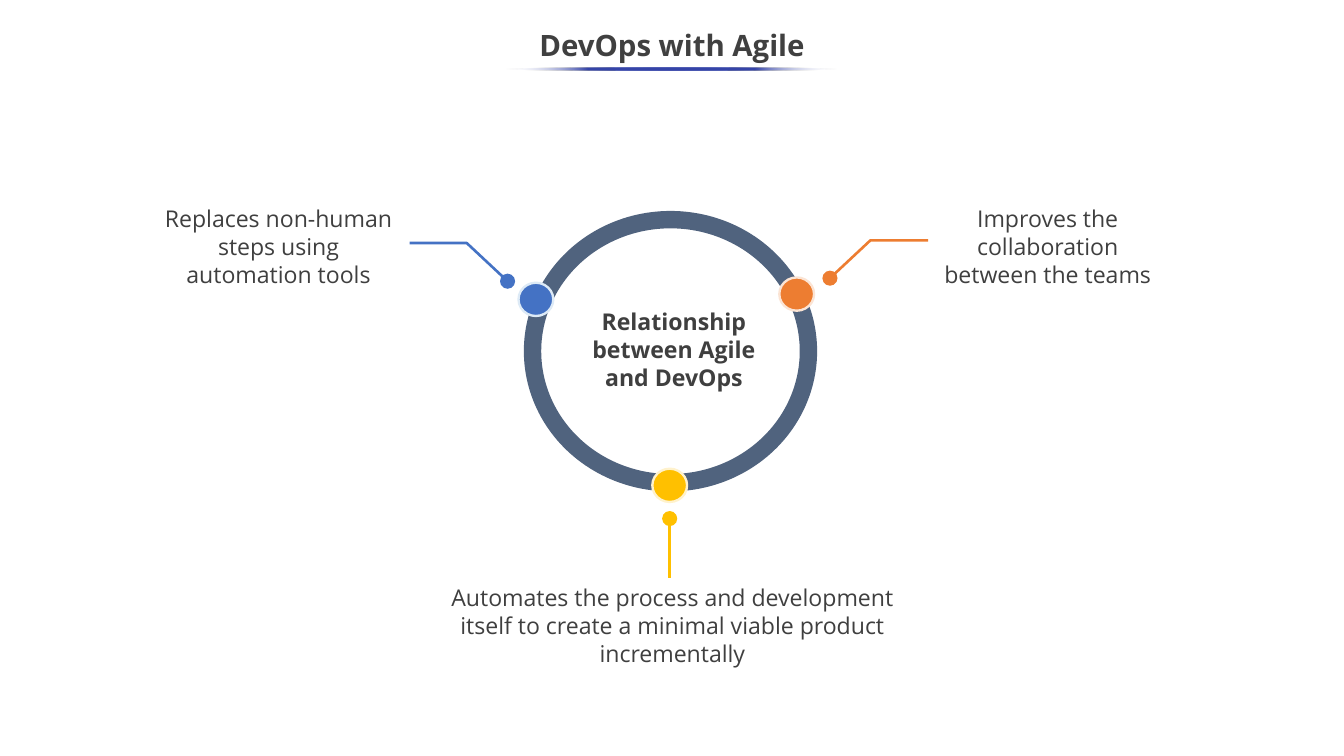
from lxml.etree import SubElement
from pptx import Presentation
from pptx.dml.color import RGBColor
from pptx.enum.shapes import MSO_SHAPE
from pptx.enum.text import MSO_ANCHOR, PP_ALIGN
from pptx.oxml.ns import qn
from pptx.util import Inches, Pt

CELL = 0.1  # inches per grid column and row
COLS, ROWS = 177.8, 100


def rgb(color):
    return RGBColor.from_string(color)


def grid(*cells):
    return [Inches(n * CELL) for n in cells]


class Diagram:
    font = "Open Sans"
    text_color = "3F3F3F"
    leader_width = 2.5
    pin_size = (4.6, 4.4)
    dot_size = (2, 2)

    def __init__(self, slide):
        self.slide = slide

    def text(self, box, words, size=22, bold=False, color=None,
             anchor=MSO_ANCHOR.TOP, spacing=1.0):
        tf = self.slide.shapes.add_textbox(*grid(*box)).text_frame
        tf.word_wrap = True
        tf.vertical_anchor = anchor
        tf.text = words
        p = tf.paragraphs[0]
        p.alignment = PP_ALIGN.CENTER
        p.line_spacing = spacing
        font = p.runs[0].font
        font.name, font.size, font.bold = self.font, Pt(size), bold
        font.color.rgb = rgb(color or self.text_color)

    def shape(self, kind, box, fill):
        sp = self.slide.shapes.add_shape(kind, *grid(*box))
        sp.shadow.inherit = False
        sp.fill.solid()
        sp.fill.fore_color.rgb = rgb(fill)
        sp.line.fill.background()
        return sp

    def circle(self, center, size, fill):
        (x, y), (w, h) = center, size
        return self.shape(MSO_SHAPE.OVAL, (x - w / 2, y - h / 2, w, h), fill)

    def ring(self, box, thickness, fill):
        sp = self.shape(MSO_SHAPE.DONUT, box, fill)
        sp.adjustments[0] = thickness / min(box[2:])

    def underline(self, box, color):
        """Draw a flat ellipse that fades out at both ends."""
        sp = self.shape(MSO_SHAPE.OVAL, box, color)
        sp.fill.gradient()
        sp.fill.gradient_angle = 0
        stops = sp.fill._fill._gradFill.find(qn("a:gsLst"))
        for stop in list(stops):
            stops.remove(stop)
        for pos, tint, alpha in ((0, "FFFFFF", 0), (25, color, 100),
                                 (75, color, 100), (100, "FFFFFF", 0)):
            stop = SubElement(stops, qn("a:gs"), pos=str(pos * 1000))
            clr = SubElement(stop, qn("a:srgbClr"), val=tint)
            SubElement(clr, qn("a:alpha"), val=str(alpha * 1000))

    def leader(self, points, color):
        """Draw a bent line that starts at a dot."""
        start, *rest = [tuple(grid(*point)) for point in points]
        builder = self.slide.shapes.build_freeform(*start)
        builder.add_line_segments(rest, close=False)
        sp = builder.convert_to_shape()
        sp.shadow.inherit = False
        sp.fill.background()
        sp.line.color.rgb = rgb(color)
        sp.line.width = Pt(self.leader_width)
        self.circle(points[0], self.dot_size, color)

    def callout(self, pin, points, box, words, color, rim):
        sp = self.circle(pin, self.pin_size, color)
        sp.line.color.rgb = rgb(rim)
        sp.line.width = Pt(2.25)
        self.leader(points, color)
        self.text(box, words)


CALLOUTS = [
    ((70.9, 39.6), [(67.15, 37.2), (61.75, 32.15), (54.2, 32.15)],
     (19.5, 26.6, 34.7, 10.1),
     "Replaces non-human steps using automation tools", "4472C4", "DDEAF6"),
    ((105.4, 38.9), [(109.8, 36.8), (115.15, 31.8), (122.8, 31.8)],
     (123.5, 26.6, 30.2, 10.1),
     "Improves the collaboration between the teams", "ED7D31", "FBE4D4"),
    ((88.6, 64.2), [(88.6, 68.6), (88.6, 76.5)],
     (55.9, 76.7, 66.1, 10.1),
     "Automates the process and development itself to create a minimal "
     "viable product incrementally", "FFC000", "FFF2CC"),
]


def main():
    prs = Presentation()
    prs.slide_width, prs.slide_height = grid(COLS, ROWS)
    d = Diagram(prs.slides.add_slide(prs.slide_layouts[6]))

    d.text((0, 2.5, COLS, 7.5), "DevOps with Agile", 28, True, "404040",
           MSO_ANCHOR.MIDDLE, 0.9)
    d.underline((66.9, 8.9, 43.9, 0.4), "3645A9")
    d.ring((69.3, 27.9, 38.8, 37.1), 2.3, "50637E")
    for callout in CALLOUTS:
        d.callout(*callout)
    d.text((75.5, 40.2, 27.3, 10.1), "Relationship between Agile and DevOps",
           bold=True)

    prs.save("out.pptx")


if __name__ == "__main__":
    main()
